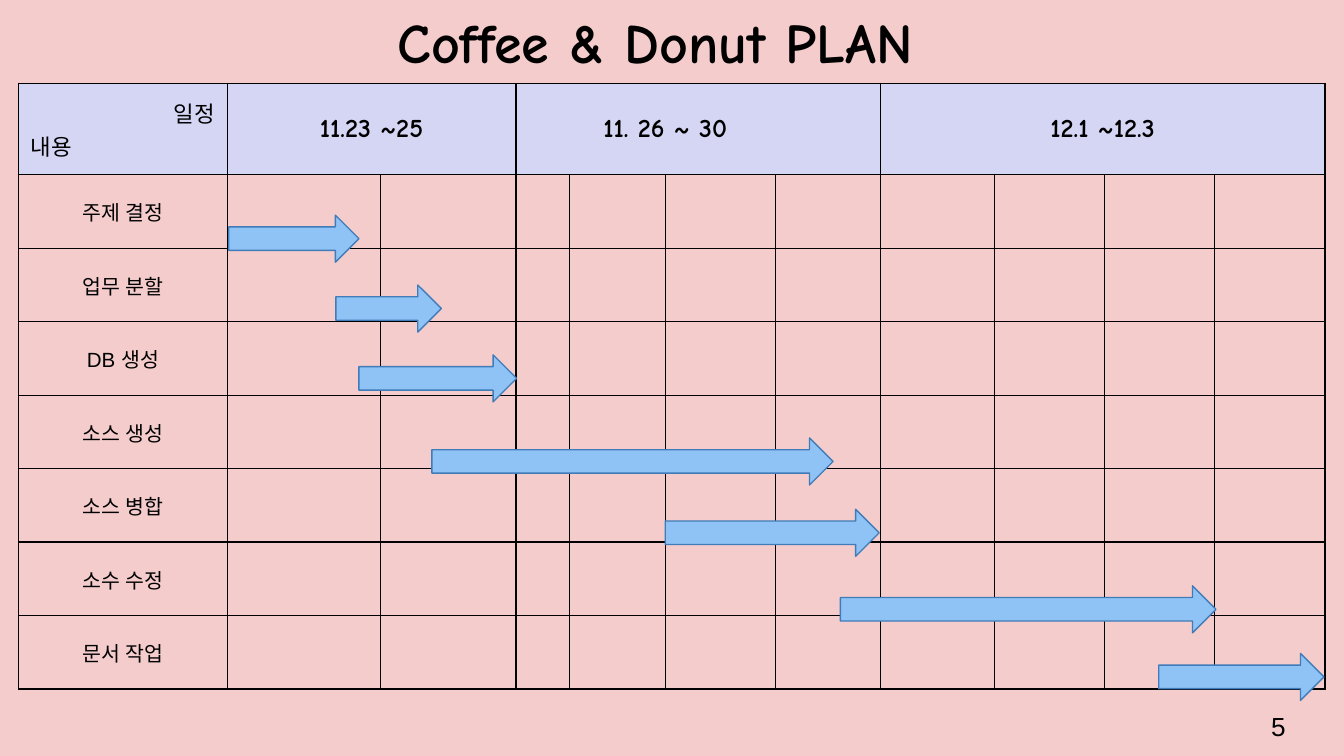
import itertools
import pptx
import pptx.util
import pptx.dml.color
import pptx.enum.shapes
import pptx.enum.text
import pptx.oxml
import pptx.oxml.ns

Inch, Pt = pptx.util.Inches, pptx.util.Pt
RGB = pptx.dml.color.RGBColor
ALIGN = pptx.enum.text.PP_ALIGN
MID = pptx.enum.text.MSO_ANCHOR.MIDDLE
ARROW = pptx.enum.shapes.MSO_SHAPE.RIGHT_ARROW

# Content
TITLE = "Coffee & Donut PLAN"
PAGE = "5"
CORNER = [("일정", ALIGN.RIGHT), ("내용", ALIGN.LEFT)]
# dates: text, first column, columns spanned, alignment, indent
DATES = [
    ("11.23 ~25", 1, 2, ALIGN.CENTER, 0),
    ("11. 26 ~ 30", 3, 4, ALIGN.LEFT, 0.56),
    ("12.1 ~12.3", 7, 4, ALIGN.CENTER, 0),
]
# tasks: name, bar start and end in columns, drop as a share of the row
TASKS = [
    ("주제 결정", 1.01, 1.86, 0.55),
    ("업무 분할", 1.71, 2.45, 0.5),
    ("DB 생성", 1.86, 3.01, 0.45),
    ("소스 생성", 2.38, 6.55, 0.58),
    ("소스 병합", 5, 6.99, 0.55),
    ("소수 수정", 6.62, 10.01, 0.59),
    ("문서 작업", 9.49, 10.99, 0.51),
]

# Grid, in inches
WIDE = 10
HIGH = WIDE * 9 / 16
LEFT, TOP, TALL = 0.14, 0.62, 4.51
COLS = [1.55, 1.14, 1.01, 0.4, 0.71, 0.82, 0.78, 0.85, 0.82, 0.82, 0.82]
HEAD, BAR = 0.68, 0.35
ROW = (TALL - HEAD) / len(TASKS)
ROWS = [HEAD] + [ROW] * len(TASKS)
EDGES = list(itertools.accumulate(COLS, initial=LEFT))
THICK = 4  # first row with a heavier lower rule

# Colours and fonts
PINK = RGB(0xF4, 0xCC, 0xCC)
LILAC = RGB(0xD5, 0xD5, 0xF4)
BLUE = RGB(0x8F, 0xC3, 0xF5)
NAVY = RGB(0x40, 0x7C, 0xB9)
BLACK = RGB(0, 0, 0)
BIG = {"name": "Comic Neue", "size": Pt(30), "bold": True}
DATE = {"name": "Comic Neue", "size": Pt(14), "bold": True}
AXIS = {"name": "Arial", "size": Pt(12), "bold": False}
TASK = {"name": "Arial", "size": Pt(11), "bold": False}
FOOT = {"name": "Arial", "size": Pt(14), "bold": False}


def write(para, text, style, align, indent=0):
    para.alignment = align
    if indent:
        para._p.get_or_add_pPr().set("marL", str(Inch(indent)))
    run = para.add_run()
    run.text = text
    for key, val in style.items():
        setattr(run.font, key, val)
    run.font.color.rgb = BLACK


def label(box, inset, text, style, align):
    frame = slide.shapes.add_textbox(*map(Inch, box)).text_frame
    form = {"word_wrap": True, "vertical_anchor": MID}
    form.update({"margin_" + side: Inch(inset)
                 for side in ("left", "top", "right", "bottom")})
    for key, val in form.items():
        setattr(frame, key, val)
    write(frame.paragraphs[0], text, style, align)


def rule(cell, row):
    widths = {"L": 0.75, "R": 0.75,
              "T": 1 if row > THICK else 0.75,
              "B": 1 if row >= THICK else 0.75}
    props = cell._tc.get_or_add_tcPr()
    for side, width in widths.items():
        props.append(pptx.oxml.parse_xml(
            f'<a:ln{side} {pptx.oxml.ns.nsdecls("a")} w="{Pt(width)}">'
            f'<a:solidFill><a:srgbClr val="{BLACK}"/></a:solidFill>'
            f'</a:ln{side}>'))


def spot(unit):
    col = min(int(unit), len(COLS) - 1)
    return EDGES[col] + (unit - col) * COLS[col]


# Slide
deck = pptx.Presentation()
deck.slide_width, deck.slide_height = Inch(WIDE), Inch(HIGH)
slide = deck.slides.add_slide(deck.slide_layouts[6])
back = slide.background.fill
back.solid()
back.fore_color.rgb = PINK

# Table grid
table = slide.shapes.add_table(
    len(ROWS), len(COLS),
    *map(Inch, (LEFT, TOP, sum(COLS), TALL))).table
table.first_row = table.horz_banding = False
for col, width in zip(table.columns, COLS):
    col.width = Inch(width)
for row, height in zip(table.rows, ROWS):
    row.height = Inch(height)
for row, col in itertools.product(range(len(ROWS)), range(len(COLS))):
    cell = table.cell(row, col)
    rule(cell, row)
    form = {"vertical_anchor": MID, "margin_left": Inch(0.09),
            "margin_right": Inch(0.09), "margin_top": Inch(0.04),
            "margin_bottom": Inch(0.04)}
    for key, val in form.items():
        setattr(cell, key, val)
    if row == 0:
        cell.fill.solid()
        cell.fill.fore_color.rgb = LILAC
    else:
        cell.fill.background()

# Table text
frame = table.cell(0, 0).text_frame
for num, (text, align) in enumerate(CORNER):
    para = frame.add_paragraph() if num else frame.paragraphs[0]
    write(para, text, AXIS, align)
for text, col, span, align, indent in DATES:
    cell = table.cell(0, col)
    cell.merge(table.cell(0, col + span - 1))
    write(cell.text_frame.paragraphs[0], text, DATE, align, indent)
for row, task in enumerate(TASKS, 1):
    para = table.cell(row, 0).text_frame.paragraphs[0]
    write(para, task[0], TASK, ALIGN.CENTER)

# Schedule bars
for row, (name, start, end, drop) in enumerate(TASKS):
    left, top = spot(start), TOP + HEAD + (row + drop) * ROW
    bar = slide.shapes.add_shape(
        ARROW, *map(Inch, (left, top, spot(end) - left, BAR)))
    bar.shadow.inherit = False
    bar.fill.solid()
    bar.fill.fore_color.rgb = BLUE
    bar.line.color.rgb = NAVY
    bar.line.width = Pt(0.75)

# Title and page number
label((0.52, 0.05, 8.71, 0.51), 0, TITLE, BIG, ALIGN.CENTER)
label((9.36, 5.19, 0.6, 0.43), 0.1, PAGE, FOOT, ALIGN.LEFT)

deck.save("out.pptx")
